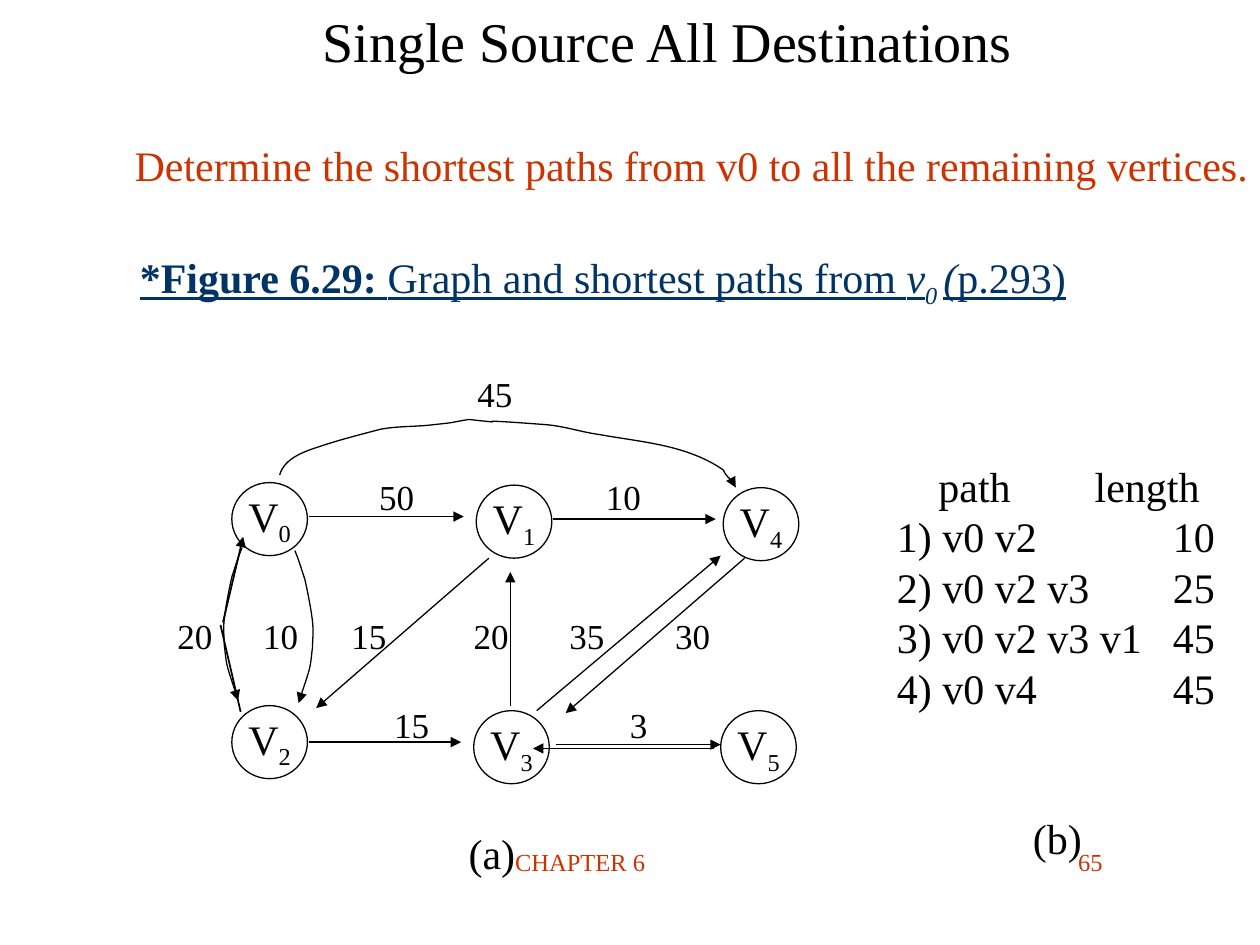
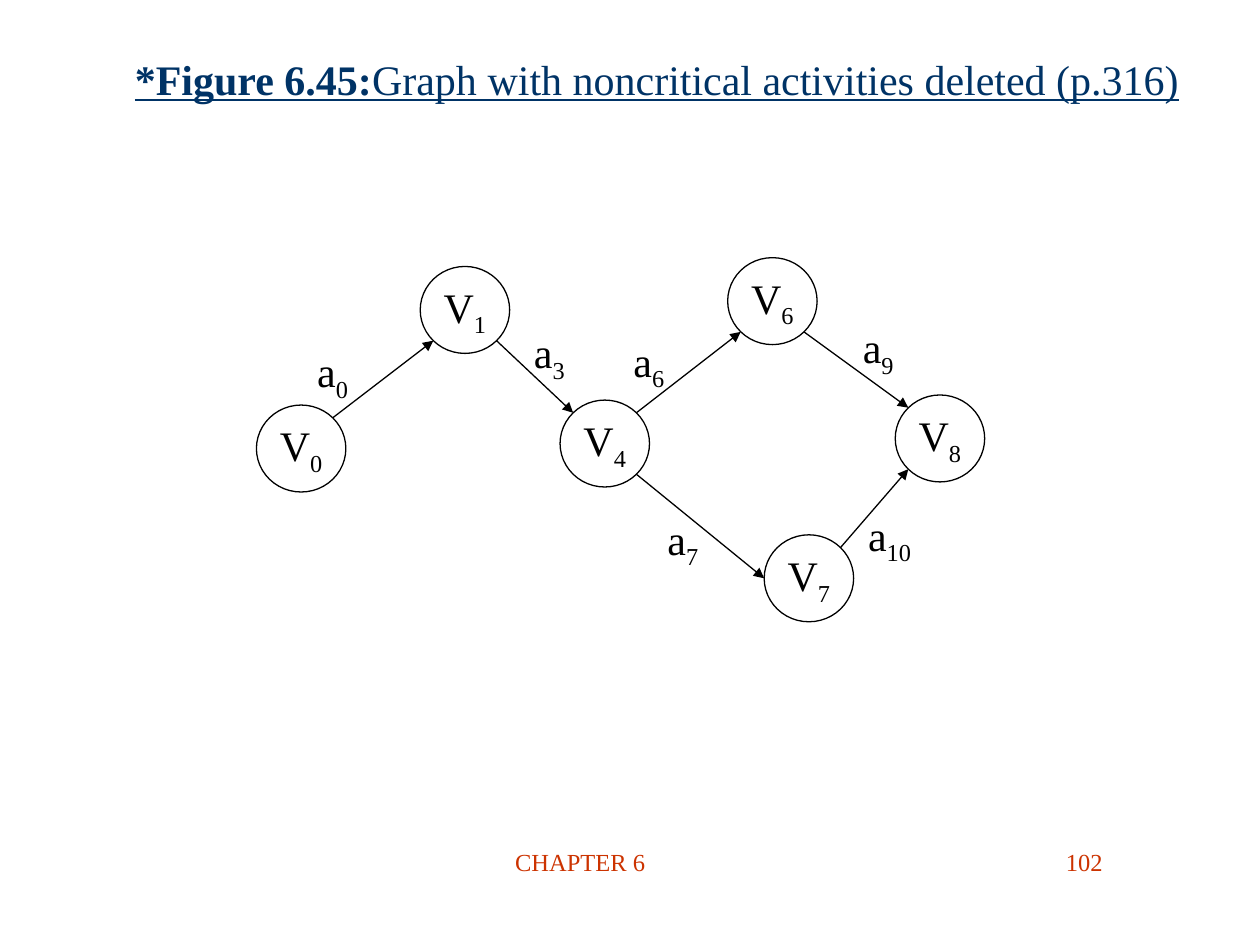
import math
from dataclasses import dataclass

import pptx
import pptx.dml.color
import pptx.enum.shapes
import pptx.enum.text
import pptx.oxml
import pptx.oxml.ns
import pptx.util
from pptx.util import Inches

ALIGN = pptx.enum.text.PP_ALIGN
ANCHOR = pptx.enum.text.MSO_ANCHOR


@dataclass(frozen=True)
class Theme:
    font: str = "Times New Roman"
    ink: str = "000000"
    paper: str = "FFFFFF"
    accent: str = "CC3300"
    caption: str = "003366"
    heading: int = 32
    body: int = 24
    weight: int = 20
    footer: int = 14
    thin: float = 0.75
    thick: float = 1


THEME = Theme()

SHORTEST_PATHS = {
    "number": "65",
    "caption_at": (1.01, 1.6, 8.5, 1.25),
    "caption": [
        ("*Figure 6.29: ", {"bold": True}),
        ("Graph and shortest paths from ", {}),
        ("v", {"italic": True}),
        ("0 ", {"italic": True, "underline": False, "subscript": True}),
        ("(", {"italic": True}),
        ("p.293)", {}),
    ],
    "node_size": (0.6, 0.58),
    "nodes": {
        "0": (2.14, 4.12), "4": (6.04, 4.16), "1": (4.08, 4.14),
        "5": (6.02, 5.93), "3": (4.06, 5.93), "2": (2.14, 5.89),
    },
}
HEADING = "Single Source All Destinations"
TASK = "Determine the shortest paths from v0 to all the remaining vertices."
ROUTES = [
    ((2.45, 4.1), (3.68, 4.1)),
    ((4.39, 4.12), (5.68, 4.12)),
    ((2.45, 5.89), (3.66, 5.89)),
    ((4.41, 5.91), (5.72, 5.91)),
    ((5.91, 4.43), (4.49, 5.66)),
    ((4.26, 5.64), (5.72, 4.41)),
    ((4.05, 5.6), (4.05, 4.54)),
    ((3.88, 4.43), (2.51, 5.62)),
]
RETURN_START = ((1.91, 5.65), (1.75, 4.96))
RETURN_ROUTES = [((1.77, 4.94), (1.93, 4.26)), ((5.67, 5.94), (4.23, 5.94))]
DOWN_CURVE = [
    (2.34, 4.37), (2.37, 4.44), (2.39, 4.51), (2.42, 4.6),
    (2.44, 4.69), (2.47, 4.84), (2.48, 4.93),
    (2.49, 5.02), (2.48, 5.08), (2.48, 5.14),
    (2.47, 5.21), (2.47, 5.26), (2.45, 5.33),
    (2.43, 5.4), (2.38, 5.54), (2.37, 5.58),
]
MIRRORED_CURVE = [(4.26 - x, y - 0.02) for x, y in DOWN_CURVE]
OVER_CURVE = [
    (2.22, 3.77), (2.26, 3.63), (2.43, 3.58), (2.55, 3.54),
    (2.7, 3.49), (2.86, 3.45), (3.01, 3.41),
    (3.15, 3.38), (3.3, 3.39), (3.45, 3.37),
    (3.64, 3.35), (3.54, 3.36), (3.72, 3.33),
    (4.19, 3.38), (3.53, 3.31), (4.32, 3.37),
    (4.47, 3.38), (4.61, 3.43), (4.76, 3.45),
    (5.09, 3.51), (5.45, 3.53), (5.74, 3.73),
    (5.75, 3.75), (5.76, 3.77), (5.78, 3.79),
    (5.86, 3.86), (5.84, 3.79), (5.84, 3.87),
]
WEIGHT_ROWS = [
    ((3.69, 2.9, 0.48, 0.44), "45", ()),
    ((2.91, 3.72, 2.29, 0.44), "50\t10", (1.8,)),
    ((1.23, 4.82, 4.65, 0.44), "\t20\t10\t15\t20\t35\t30",
     (0.08, 0.76, 1.46, 2.43, 3.19, 4.03)),
    ((3.03, 5.53, 2.3, 0.44), "15\t3", (1.87,)),
]
ROW_TABS = (2.19,)
PATH_LINES = [
    ("\tpath\tlength", (0.33, 1.57)),
    ("1) v0 v2\t10", ROW_TABS),
    ("2) v0 v2 v3\t25", ROW_TABS),
    ("3) v0 v2 v3 v1\t45", ROW_TABS),
    ("4) v0 v4\t45", ROW_TABS),
    ("\t(b)", (1.08,)),
]
PART_GAP = 57

CRITICAL_PATHS = {
    "number": "102",
    "caption_at": (0.97, 0, 8.5, 1.25),
    "caption": [
        ("*Figure 6.45:", {"bold": True}),
        ("Graph with noncritical activities deleted (p.316)", {}),
    ],
    "node_size": (0.71, 0.69),
    "nodes": {
        "0": (2.39, 3.56), "4": (4.8, 3.52), "8": (7.46, 3.48),
        "1": (3.69, 2.46), "6": (6.13, 2.39), "7": (6.42, 4.59),
    },
}
ACTIVITIES = [
    ("0", "0", "NE", "1", "SW", (2.64, 2.97)),
    ("3", "1", "SE", "4", "NW", (4.36, 2.82)),
    ("6", "4", "NE", "6", "SW", (5.15, 2.89)),
    ("7", "4", "SE", "7", "W", (5.42, 4.3)),
    ("10", "7", "NE", "8", "SW", (7.06, 4.27)),
    ("9", "6", "SE", "8", "NW", (6.97, 2.78)),
]
COMPASS = {"NE": -45, "SE": 45, "SW": 135, "W": 180, "NW": 225}


def rgb(value):
    return pptx.dml.color.RGBColor.from_string(value)


def drawing_xml(tag, attributes="", inner=""):
    return pptx.oxml.parse_xml(
        f'<a:{tag} {pptx.oxml.ns.nsdecls("a")} {attributes}>{inner}</a:{tag}>')


def centred(center, size):
    return (center[0] - size[0] / 2, center[1] - size[1] / 2, *size)


def write_text(frame, lines, size=THEME.body, color=THEME.ink, align=ALIGN.LEFT,
               anchor=ANCHOR.MIDDLE, wrap=False, underline=None, tabs=None, last_gap=None):
    frame.word_wrap = wrap
    frame.auto_size = pptx.enum.text.MSO_AUTO_SIZE.NONE
    frame.vertical_anchor = anchor
    for index, spans in enumerate(lines):
        para = frame.add_paragraph() if index else frame.paragraphs[0]
        para.alignment = align
        if tabs and tabs[index]:
            stops = "".join(f'<a:tab pos="{Inches(stop)}" algn="l"/>' for stop in tabs[index])
            para._p.get_or_add_pPr().append(drawing_xml("tabLst", inner=stops))
        for text, style in spans:
            span = para.add_run()
            span.text = text
            span.font.name = THEME.font
            span.font.size = pptx.util.Pt(size)
            span.font.color.rgb = rgb(color)
            span.font.bold = style.get("bold", False)
            span.font.italic = style.get("italic", False)
            span.font.underline = style.get("underline", underline)
            if style.get("subscript"):
                span._r.get_or_add_rPr().set("baseline", "-25000")
    if last_gap:
        para.space_before = pptx.util.Pt(last_gap)


def add_text(page, at, lines, **style):
    if isinstance(lines, str):
        lines = [[(lines, {})]]
    box = page.shapes.add_textbox(*map(Inches, at))
    write_text(box.text_frame, lines, **style)


def indexed(letter, index):
    return [[(letter, {}), (index, {"subscript": True})]]


def style_line(shape, width, arrow):
    shape.line.color.rgb = rgb(THEME.ink)
    shape.line.width = pptx.util.Pt(width)
    if arrow:
        shape.line._get_or_add_ln().append(drawing_xml("tailEnd", 'type="triangle"'))


def add_line(page, start, end, width=THEME.thin, arrow=True):
    line = page.shapes.add_connector(
        pptx.enum.shapes.MSO_CONNECTOR.STRAIGHT, *map(Inches, (*start, *end)))
    style_line(line, width, arrow)
    line._element.spPr.append(drawing_xml("effectLst"))


def add_curve(page, knots):
    start, *rest = [(Inches(x), Inches(y)) for x, y in knots]
    builder = page.shapes.build_freeform(*start)
    builder.add_line_segments(rest, close=False)
    curve = builder.convert_to_shape()
    segments = curve._element.findall(".//" + pptx.oxml.ns.qn("a:lnTo"))
    outline = segments[0].getparent()
    for first in range(0, len(segments), 3):
        bend = drawing_xml("cubicBezTo")
        for segment in segments[first:first + 3]:
            bend.append(segment[0])
            outline.remove(segment)
        outline.append(bend)
    curve.fill.background()
    curve.shadow.inherit = False
    style_line(curve, THEME.thin, True)


def add_node(page, index, center, size):
    node = page.shapes.add_shape(
        pptx.enum.shapes.MSO_SHAPE.OVAL, *map(Inches, centred(center, size)))
    node.shadow.inherit = False
    node.fill.solid()
    node.fill.fore_color.rgb = rgb(THEME.paper)
    style_line(node, THEME.thin, False)
    write_text(node.text_frame, indexed("V", index), align=ALIGN.CENTER)


def add_page(deck, content):
    page = deck.slides.add_slide(deck.slide_layouts[5])
    footer = {"size": THEME.footer, "color": THEME.accent, "anchor": ANCHOR.TOP, "wrap": True}
    add_text(page, (3.02, 6.67, 3.17, 0.5), "CHAPTER 6", align=ALIGN.CENTER, **footer)
    add_text(page, (6.77, 6.67, 2.08, 0.5), content["number"], align=ALIGN.RIGHT, **footer)
    title = page.shapes.title
    title.left, title.top, title.width, title.height = map(Inches, content["caption_at"])
    write_text(title.text_frame, [content["caption"]], color=THEME.caption,
               wrap=True, underline=True)
    for index, center in content["nodes"].items():
        add_node(page, index, center, content["node_size"])
    return page


def build_shortest_paths(deck):
    page = add_page(deck, SHORTEST_PATHS)
    for start, end in ROUTES:
        add_line(page, start, end)
    for knots in (DOWN_CURVE, MIRRORED_CURVE, OVER_CURVE):
        add_curve(page, knots)
    for at, weights, stops in WEIGHT_ROWS:
        add_text(page, at, weights, size=THEME.weight, wrap=True, tabs=[stops])
    add_text(page, (3.62, 6.52, 0.57, 0.5), "(a)", align=ALIGN.CENTER)
    add_text(page, (7.02, 3.6, 2.73, 3.3), [[(line, {})] for line, _ in PATH_LINES],
             tabs=[stops for _, stops in PATH_LINES], last_gap=PART_GAP)
    add_text(page, (2.45, 0, 5.7, 0.64), HEADING, size=THEME.heading, align=ALIGN.CENTER)
    add_text(page, (0.97, 1.06, 9.04, 0.5), TASK, color=THEME.accent)
    add_line(page, *RETURN_START, width=THEME.thick, arrow=False)
    for start, end in RETURN_ROUTES:
        add_line(page, start, end, width=THEME.thick)


def rim_point(content, index, side):
    angle = math.radians(COMPASS[side])
    (x, y), (width, height) = content["nodes"][index], content["node_size"]
    return x + width / 2 * math.cos(angle), y + height / 2 * math.sin(angle)


def build_critical_paths(deck):
    page = add_page(deck, CRITICAL_PATHS)
    for activity, source, leave, target, enter, center in ACTIVITIES:
        add_line(page, rim_point(CRITICAL_PATHS, source, leave),
                 rim_point(CRITICAL_PATHS, target, enter))
        add_text(page, centred(center, (0.44, 0.56)), indexed("a", activity),
                 align=ALIGN.CENTER)


def main():
    deck = pptx.Presentation()
    deck.slide_width, deck.slide_height = Inches(10), Inches(7.5)
    build_shortest_paths(deck)
    build_critical_paths(deck)
    deck.save("out.pptx")


if __name__ == "__main__":
    main()
